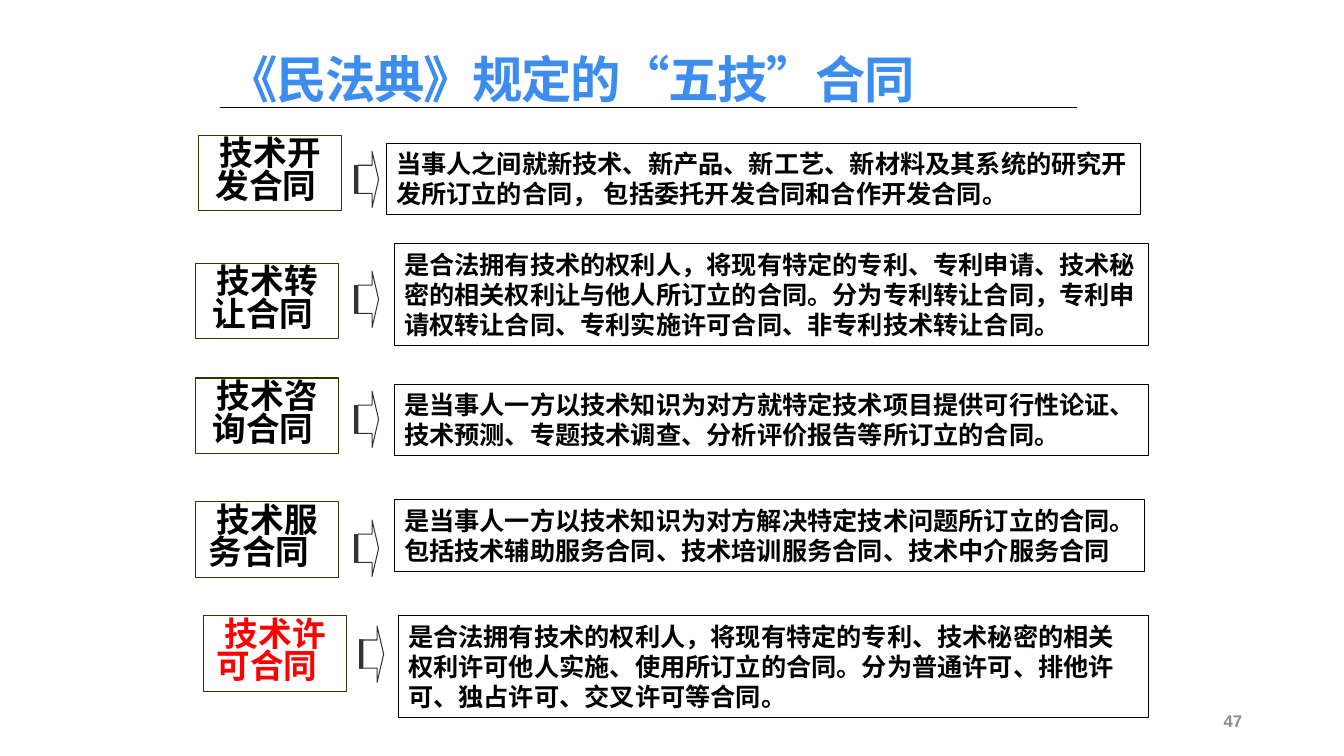
"""Build the slide on the five kinds of technology contract."""
from lxml import etree
from pptx import Presentation
from pptx.dml.color import RGBColor
from pptx.enum.shapes import MSO_CONNECTOR, MSO_SHAPE
from pptx.enum.text import MSO_ANCHOR, MSO_AUTO_SIZE, PP_ALIGN
from pptx.oxml.ns import qn
from pptx.util import Inches, Pt

RECT, LINE = MSO_SHAPE.RECTANGLE, MSO_CONNECTOR.STRAIGHT
TOP, MID, LOW = MSO_ANCHOR.TOP, MSO_ANCHOR.MIDDLE, MSO_ANCHOR.BOTTOM
LEFT, MIDST, RIGHT = PP_ALIGN.LEFT, PP_ALIGN.CENTER, PP_ALIGN.RIGHT
FIXED = MSO_AUTO_SIZE.NONE

BLACK = RGBColor(0x00, 0x00, 0x00)
WHITE = RGBColor(0xFF, 0xFF, 0xFF)
BLUE = RGBColor(0x3D, 0x8D, 0xEF)
RED = RGBColor(0xFF, 0x00, 0x00)
OLIVE = RGBColor(0x33, 0x33, 0x00)
DARK = RGBColor(0x33, 0x33, 0x33)
GRAY = RGBColor(0x8C, 0x8C, 0x8C)

CELL = Inches(0.01)
COLS, ROWS = 1333, 750


def write(shape, text, size, color=BLACK, font="Roboto", align=LEFT,
          anchor=TOP, pitch=None):
    """Put bold text into a shape."""
    frame = shape.text_frame
    frame.word_wrap = True
    frame.auto_size = FIXED
    frame.vertical_anchor = anchor
    para = frame.paragraphs[0]
    para.alignment = align
    if pitch:
        para.line_spacing = pitch
    run = para.add_run()
    run.text = text
    run.font.size = Pt(size)
    run.font.bold = True
    run.font.color.rgb = color
    run.font.name = font
    props = run._r.get_or_add_rPr()
    props.set("lang", "zh-CN")
    etree.SubElement(props, qn("a:ea")).set("typeface", font)
    return para, run


def paint(shape, edge):
    """Give a shape a white fill and a thin edge."""
    shape.shadow.inherit = False
    shape.fill.solid()
    shape.fill.fore_color.rgb = WHITE
    shape.line.color.rgb = edge
    shape.line.width = Pt(0.75)


deck = Presentation()
deck.slide_width, deck.slide_height = COLS * CELL, ROWS * CELL
slide = deck.slides.add_slide(deck.slide_layouts[5])
shapes = slide.shapes

title = shapes.title
title.left, title.top = 214 * CELL, 47 * CELL
title.width, title.height = 717 * CELL, 61 * CELL
frame = title.text_frame
frame.margin_left = frame.margin_right = 0
frame.margin_top = frame.margin_bottom = 0
para, run = write(title, "《民法典》规定的“五技”合同", 36, color=BLUE,
                  font="Noto Sans CJK SC", anchor=LOW)
para.space_before = Pt(4)
indent = para._p.get_or_add_pPr()
indent.set("marL", str(40 * CELL))
indent.set("indent", str(-28 * CELL))
run._r.get_or_add_rPr().set("spc", "-100")

rule = shapes.add_connector(LINE, 218 * CELL, 107 * CELL, 1068 * CELL, 107 * CELL)
rule.line.color.rgb = BLACK
rule.line.width = Pt(0.5)
etree.SubElement(rule._element.spPr, qn("a:effectLst"))

# label, colour, label at, arrow at, note at, note width, note lines, note
KINDS = [
    ("技术开发合同 ", BLACK, (197, 134), (352, 150), (383, 142), 748, 2,
     "当事人之间就新技术、新产品、新工艺、新材料及其系统的研究开发所订立的合同，"
     " 包括委托开发合同和合作开发合同。"),
    ("技术转让合同 ", BLACK, (194, 261), (352, 269), (391, 242), 748, 3,
     "是合法拥有技术的权利人，将现有特定的专利、专利申请、技术秘密的相关权利让与"
     "他人所订立的合同。分为专利转让合同，专利申请权转让合同、专利实施许可合同、"
     "非专利技术转让合同。"),
    ("技术咨询合同 ", BLACK, (194, 375), (352, 388), (391, 381), 748, 2,
     "是当事人一方以技术知识为对方就特定技术项目提供可行性论证、技术预测、"
     "专题技术调查、分析评价报告等所订立的合同。"),
    ("技术服务合同  ", BLACK, (194, 498), (352, 516), (391, 496), 744, 2,
     "是当事人一方以技术知识为对方解决特定技术问题所订立的合同。"
     "包括技术辅助服务合同、技术培训服务合同、技术中介服务合同"),
    ("技术许可合同  ", RED, (202, 611), (357, 621), (395, 611), 744, 3,
     "是合法拥有技术的权利人，将现有特定的专利、技术秘密的相关权利许可他人实施、"
     "使用所订立的合同。分为普通许可、排他许可、独占许可、交叉许可等合同。"),
]
HEAD = [(17, 0), (17, 14), (3, 14), (3, 42), (17, 42), (17, 56), (23.5, 28)]
BARS = [[(a, 14), (a, 42), (b, 42), (b, 14)] for a, b in ((1.5, 3), (0, 0.5))]

for label, color, spot, tip, place, wide, lines, note in KINDS:
    x, y = place
    box = shapes.add_shape(RECT, x * CELL, y * CELL, wide * CELL,
                           (11 + 30 * lines) * CELL)
    paint(box, BLACK)
    write(box, note, 18)

    x, y = spot
    box = shapes.add_shape(RECT, x * CELL, y * CELL, 142 * CELL, 75 * CELL)
    paint(box, OLIVE)
    write(box, label, 24, color=color, align=MIDST, pitch=0.8)

    x, y = tip
    parts = [[((x + a) * CELL, (y + b) * CELL) for a, b in part]
             for part in (HEAD, *BARS)]
    pen = shapes.build_freeform(*parts[0][0])
    pen.add_line_segments(parts[0][1:], close=True)
    for part in parts[1:]:
        pen.move_to(*part[0])
        pen.add_line_segments(part[1:], close=True)
    paint(pen.convert_to_shape(), DARK)

page = shapes.add_textbox(942 * CELL, 695 * CELL, 300 * CELL, 40 * CELL)
write(page, "47", 12, color=GRAY, font="Arial", align=RIGHT, anchor=MID)

deck.save("out.pptx")
